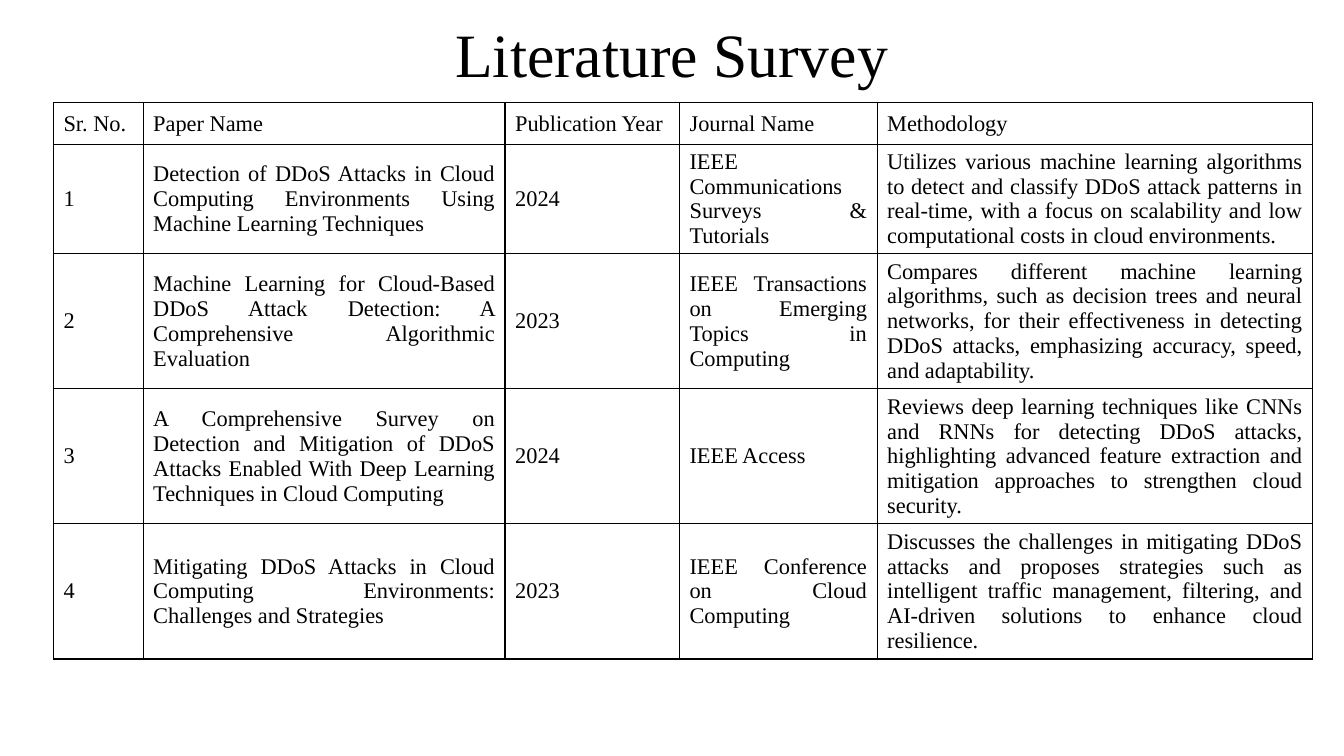
from pptx import Presentation, util as u
from pptx.dml.color import RGBColor
from pptx.enum import text
from pptx.oxml import parse_xml
from pptx.oxml.ns import nsdecls

HUES = {"ink": "000000", "page": "FFFFFF"}
HEAD = ["Sr. No.", "Paper Name", "Publication Year", "Journal Name", "Methodology"]
PAPERS = [
    ("Detection of DDoS Attacks in Cloud Computing Environments Using Machine Learning Techniques",
     "2024", "IEEE Communications Surveys & Tutorials",
     "Utilizes various machine learning algorithms to detect and classify DDoS attack patterns "
     "in real-time, with a focus on scalability and low computational costs in cloud environments."),
    ("Machine Learning for Cloud-Based DDoS Attack Detection: A Comprehensive Algorithmic Evaluation",
     "2023", "IEEE Transactions on Emerging Topics in Computing",
     "Compares different machine learning algorithms, such as decision trees and neural networks, "
     "for their effectiveness in detecting DDoS attacks, emphasizing accuracy, speed, and adaptability."),
    ("A Comprehensive Survey on Detection and Mitigation of DDoS Attacks Enabled With "
     "Deep Learning Techniques in Cloud Computing",
     "2024", "IEEE Access",
     "Reviews deep learning techniques like CNNs and RNNs for detecting DDoS attacks, highlighting "
     "advanced feature extraction and mitigation approaches to strengthen cloud security."),
    ("Mitigating DDoS Attacks in Cloud Computing Environments: Challenges and Strategies",
     "2023", "IEEE Conference on Cloud Computing",
     "Discusses the challenges in mitigating DDoS attacks and proposes strategies such as intelligent "
     "traffic management, filtering, and AI-driven solutions to enhance cloud resilience."),
]
WIDTHS = [0.89, 3.59, 1.73, 1.96, 4.32]
HEIGHTS = [0.41, 1.08, 1.34, 1.34, 1.34]


def assign(item, values):
    """Set each named attribute of an item."""
    for name, value in values.items():
        setattr(item, name, value)


class Page:
    """Hold the style and the current slide."""

    face = "Times New Roman"

    def __init__(self, deck):
        """Add a slide with a title."""
        self.slide = deck.slides.add_slide(deck.slide_layouts[5])

    def label(self, frame, words, size, align, **more):
        """Put one styled paragraph in a text frame."""
        frame.text = words
        para = frame.paragraphs[0]
        assign(para, {"alignment": align, **more})
        font = para.runs[0].font
        assign(font, {"name": self.face, "size": u.Pt(size)})
        font.color.rgb = RGBColor.from_string(HUES["ink"])

    def title(self, words, box):
        """Place and style the title."""
        shape = self.slide.shapes.title
        assign(shape, dict(zip(("left", "top", "width", "height"), map(u.Inches, box))))
        assign(shape.text_frame, {"word_wrap": True,
                                  "auto_size": text.MSO_AUTO_SIZE.NONE,
                                  "vertical_anchor": text.MSO_ANCHOR.MIDDLE})
        self.label(shape.text_frame, words, 44, text.PP_ALIGN.CENTER, line_spacing=0.9)

    def border(self, cell):
        """Draw thin lines on all sides of a cell."""
        props = cell._tc.get_or_add_tcPr()
        for spot, side in enumerate("LRTB"):
            props.insert(spot, parse_xml(
                f'<a:ln{side} {nsdecls("a")} w="{u.Pt(1)}"><a:solidFill>'
                f'<a:srgbClr val="{HUES["ink"]}"/></a:solidFill></a:ln{side}>'))

    def table(self, rows, left, top):
        """Build a plain ruled table."""
        frame = self.slide.shapes.add_table(
            len(rows), len(WIDTHS), u.Inches(left), u.Inches(top),
            u.Inches(sum(WIDTHS)), u.Inches(sum(HEIGHTS)))
        grid = frame.table
        assign(grid, {"first_row": False, "horz_banding": False})
        for col, width in zip(grid.columns, WIDTHS):
            col.width = u.Inches(width)
        for line, height, words in zip(grid.rows, HEIGHTS, rows):
            line.height = u.Inches(height)
            for cell, word in zip(line.cells, words):
                cell.vertical_anchor = text.MSO_ANCHOR.MIDDLE
                cell.fill.solid()
                cell.fill.fore_color.rgb = RGBColor.from_string(HUES["page"])
                self.label(cell.text_frame, word, 16, text.PP_ALIGN.JUSTIFY)
                self.border(cell)


def main():
    """Build and save the slide."""
    deck = Presentation()
    assign(deck, {"slide_width": u.Inches(13.33), "slide_height": u.Inches(7.5)})
    page = Page(deck)
    page.title("Literature Survey", (3.79, 0.18, 5.75, 0.79))
    rows = [HEAD] + [(str(num), *paper) for num, paper in enumerate(PAPERS, 1)]
    page.table(rows, 0.53, 1.02)
    deck.save("out.pptx")


if __name__ == "__main__":
    main()
